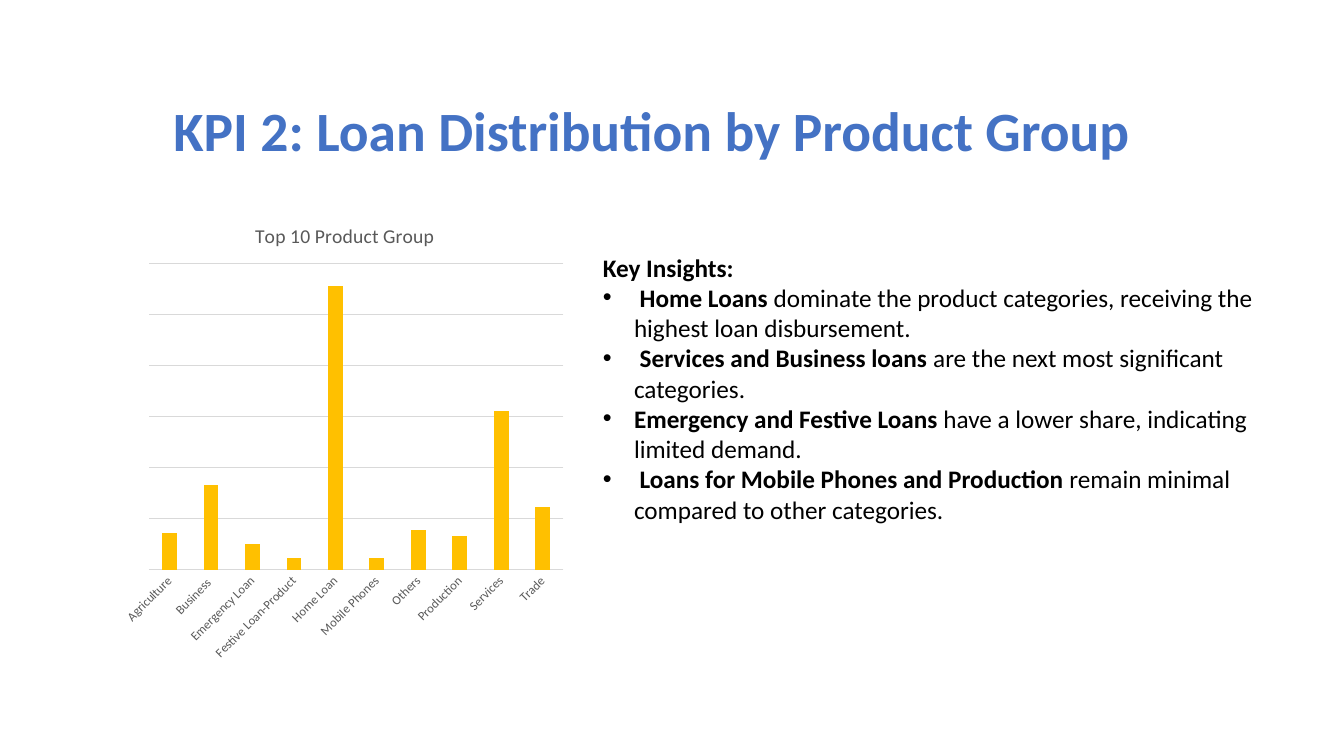
from dataclasses import dataclass

from lxml.etree import SubElement
from pptx import Presentation
from pptx.chart.data import CategoryChartData
from pptx.dml.color import RGBColor
from pptx.enum.chart import XL_CHART_TYPE, XL_TICK_LABEL_POSITION, XL_TICK_MARK
from pptx.enum.text import MSO_ANCHOR, MSO_AUTO_SIZE, PP_ALIGN
from pptx.oxml import parse_xml
from pptx.oxml.ns import nsdecls, qn
from pptx.util import Inches, Pt


@dataclass(frozen=True)
class Theme:
    font: str = "Calibri"
    accent: str = "4472C4"
    ink: str = "000000"
    muted: str = "595959"
    rule: str = "D9D9D9"
    bar: str = "FFC000"
    title: float = 39.6
    body: float = 18
    chart_title: float = 14
    label: float = 9


THEME = Theme()

PRODUCT_GROUPS = {
    "Agriculture": 13, "Business ": 30, "Emergency Loan": 9,
    "Festive Loan-Product": 4, "Home Loan": 100, "Mobile Phones": 4,
    "Others": 14, "Production": 12, "Services": 56, "Trade": 22,
}

# Each insight: lead-in space, bold subject, remaining sentence
INSIGHTS = [
    (" ", "Home Loans",
     " dominate the product categories, receiving the highest loan disbursement."),
    (" ", "Services and Business loans", " are the next most significant categories."),
    ("", "Emergency and Festive Loans", " have a lower share, indicating limited demand."),
    (" ", "Loans for Mobile Phones and Production",
     " remain minimal compared to other categories."),
]


def style_font(font, size, color, bold=False):
    font.name = THEME.font
    font.size = Pt(size)
    font.bold = bold
    font.color.rgb = RGBColor.from_string(color)


def add_text(p, text, size=THEME.body, color=THEME.ink, bold=False):
    r = p.add_run()
    r.text = text
    style_font(r.font, size, color, bold)


def style_line(line):
    line.color.rgb = RGBColor.from_string(THEME.rule)
    line.width = Pt(0.75)


class SlideBuilder:
    def __init__(self, prs, theme):
        self.theme = theme
        self.s = prs.slides.add_slide(prs.slide_layouts[5])

    def title(self, text, x, y, w, h):
        sp = self.s.shapes.title
        sp.left, sp.top, sp.width, sp.height = map(Inches, (x, y, w, h))
        tf = sp.text_frame
        tf.auto_size = MSO_AUTO_SIZE.NONE
        tf.vertical_anchor = MSO_ANCHOR.MIDDLE
        p = tf.paragraphs[0]
        p.alignment = PP_ALIGN.LEFT
        p.line_spacing = 0.9
        add_text(p, text, size=self.theme.title, color=self.theme.accent, bold=True)

    def insights(self, heading, items, x, y, w, h):
        tf = self.s.shapes.add_textbox(*map(Inches, (x, y, w, h))).text_frame
        tf.word_wrap = True
        add_text(tf.paragraphs[0], heading, bold=True)
        for lead, subject, rest in items:
            p = tf.add_paragraph()
            pPr = p._p.get_or_add_pPr()
            pPr.set("marL", str(Inches(0.31)))
            pPr.set("indent", str(-Inches(0.31)))
            SubElement(pPr, qn("a:buFont")).set("typeface", "Arial")
            SubElement(pPr, qn("a:buChar")).set("char", "•")
            if lead:
                add_text(p, lead)
            add_text(p, subject, bold=True)
            add_text(p, rest)

    def column_chart(self, title, values, x, y, w, h):
        t = self.theme
        data = CategoryChartData()
        data.categories = list(values)
        data.add_series("Series 1", list(values.values()))
        chart = self.s.shapes.add_chart(
            XL_CHART_TYPE.COLUMN_STACKED, *map(Inches, (x, y, w, h)), data).chart
        style_font(chart.font, 10, t.ink)
        chart.has_legend = False
        chart.has_title = True
        add_text(chart.chart_title.text_frame.paragraphs[0], title,
                 size=t.chart_title, color=t.muted)
        chart.chart_title.include_in_layout = False

        # Columns
        plot = chart.plots[0]
        plot.gap_width, plot.overlap, plot.vary_by_categories = 182, 100, False
        fill = plot.series[0].format.fill
        fill.solid()
        fill.fore_color.rgb = RGBColor.from_string(t.bar)

        # Axes
        val = chart.value_axis
        val.minimum_scale, val.maximum_scale, val.major_unit = 0, 108, 18
        val.has_major_gridlines = True
        style_line(val.major_gridlines.format.line)
        val.tick_label_position = XL_TICK_LABEL_POSITION.NONE
        val.visible = False
        cat = chart.category_axis
        cat.major_tick_mark = cat.minor_tick_mark = XL_TICK_MARK.NONE
        style_font(cat.tick_labels.font, t.label, t.muted)
        style_line(cat.format.line)
        cat._element.find(qn("c:txPr")).find(qn("a:bodyPr")).set("rot", "-2700000")

        # Plot area as fractions of the chart frame
        area = chart._chartSpace.chart.plotArea
        old = area.find(qn("c:layout"))
        if old is not None:
            area.remove(old)
        places = "".join(f'<c:{k} val="{v}"/>' for k, v in
                         dict(x=0.07, y=0.13, w=0.91, h=0.66).items())
        area.insert(0, parse_xml(
            f'<c:layout {nsdecls("c")}><c:manualLayout><c:layoutTarget val="inner"/>'
            f'<c:xMode val="edge"/><c:yMode val="edge"/>{places}'
            '</c:manualLayout></c:layout>'))


def main():
    prs = Presentation()
    prs.slide_width, prs.slide_height = Inches(13.33), Inches(7.5)
    slide = SlideBuilder(prs, THEME)
    slide.title("KPI 2: Loan Distribution by Product Group", 1.62, 0.98, 10.96, 0.68)
    slide.insights("Key Insights:", INSIGHTS, 5.88, 2.45, 7.02, 3.13)
    slide.column_chart("Top 10 Product Group", PRODUCT_GROUPS, 1.16, 2.02, 4.52, 4.6)
    prs.save("out.pptx")


if __name__ == "__main__":
    main()
